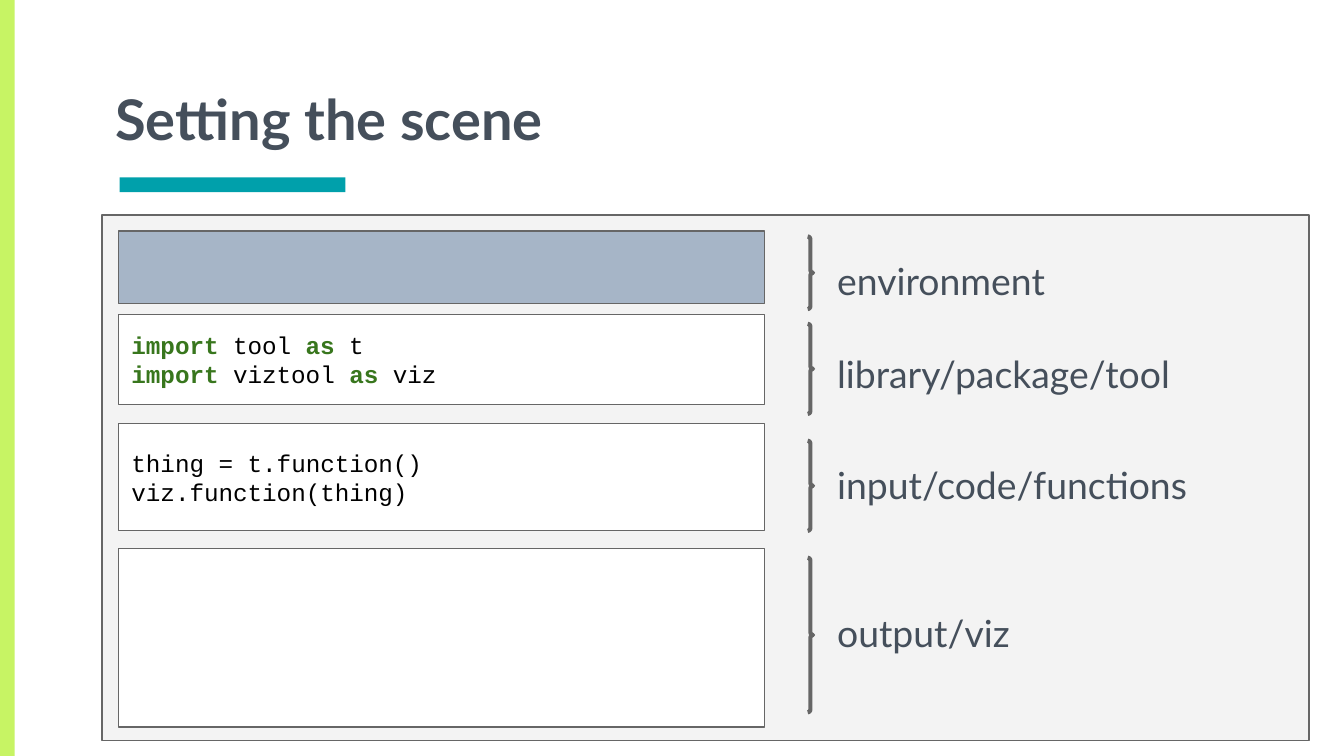
from pptx import Presentation
from pptx.dml.color import RGBColor
from pptx.enum.shapes import MSO_SHAPE
from pptx.enum.text import MSO_ANCHOR, PP_ALIGN
from pptx.util import Inches, Pt

RECT, BRACE = MSO_SHAPE.RECTANGLE, MSO_SHAPE.RIGHT_BRACE
TOP, MIDDLE, BOTTOM = MSO_ANCHOR.TOP, MSO_ANCHOR.MIDDLE, MSO_ANCHOR.BOTTOM
LEFT = PP_ALIGN.LEFT

COLORS = {
    "teal": "00A0AB", "lime": "C7F464", "slate": "454F5B", "panel": "F3F3F3",
    "gray": "666666", "white": "FFFFFF", "blue": "A6B5C7",
    "keyword": "38761D", "black": "000000",
}
CELL = 0.1  # inches per grid column and row


def rgb(name):
    return RGBColor.from_string(COLORS[name])


class Deck:
    """Holds the style and the current slide; lengths are grid cells."""
    head_font, code_font = "Lato", "Courier New"

    def __init__(self, cols, rows):
        self.prs = Presentation()
        self.prs.slide_width = Inches(cols * CELL)
        self.prs.slide_height = Inches(rows * CELL)
        self.s = self.prs.slides.add_slide(self.prs.slide_layouts[6])

    def grid(self, *cells):
        return [Inches(c * CELL) for c in cells]

    def shape(self, kind, box, fill=None, line=None, width=0.75):
        sp = self.s.shapes.add_shape(kind, *self.grid(*box))
        sp.shadow.inherit = False
        if fill:
            sp.fill.solid()
            sp.fill.fore_color.rgb = rgb(fill)
        else:
            sp.fill.background()
        if line:
            sp.line.color.rgb = rgb(line)
            sp.line.width = Pt(width)
        else:
            sp.line.fill.background()
        return sp

    def add_text(self, sp, lines, font, size, anchor):
        tf = sp.text_frame
        tf.word_wrap = True
        tf.vertical_anchor = anchor
        tf.margin_left = tf.margin_right = Inches(0.1)
        tf.margin_top = tf.margin_bottom = Inches(0.1)
        for i, runs in enumerate(lines):
            p = tf.add_paragraph() if i else tf.paragraphs[0]
            p.alignment = LEFT
            for text, color, bold in runs:
                r = p.add_run()
                r.text = text
                r.font.name, r.font.size = font, Pt(size)
                r.font.bold = bold
                r.font.color.rgb = rgb(color)

    def label(self, box, text, size, bold=False, anchor=TOP):
        sp = self.s.shapes.add_textbox(*self.grid(*box))
        self.add_text(sp, [[(text, "slate", bold)]], self.head_font, size, anchor)

    def code_cell(self, box, fill, lines):
        sp = self.shape(RECT, box, fill, "gray")
        if lines:
            self.add_text(sp, lines, self.code_font, 13, MIDDLE)

    def brace(self, box):
        sp = self.shape(BRACE, box, line="gray", width=2.25)
        sp.adjustments[0] = sp.adjustments[1] = 0.5


def key(text):
    return text, "keyword", True


def plain(text):
    return text, "black", False


IMPORTS = [
    [key("import"), plain(" tool "), key("as"), plain(" t")],
    [key("import "), plain("viztool "), key("as"), plain(" viz")],
]
CALLS = [[plain("thing = t.function()")], [plain("viz.function(thing)")]]

# Label, fill, code, then (top, height) of cell and brace, and label top
STEPS = [
    ("environment", "blue", [], (17.2, 5.4), (17.6, 5.4), 18.2),
    ("library/package/tool", "white", IMPORTS, (23.4, 6.7), (24.1, 6.7), 25.1),
    ("input/code/functions", "white", CALLS, (31.5, 8), (32.8, 6.7), 33.4),
    ("output/viz", "white", [], (40.8, 13.3), (41.5, 11.5), 44.4),
]


def main():
    deck = Deck(100, 56.25)

    # Side bar, title and its underline
    deck.shape(RECT, (8.9, 13.2, 16.8, 1.1), "teal")
    deck.shape(RECT, (0, 0, 1.1, 56.25), "lime")
    deck.label((7.6, 1.7, 84.9, 10.6), "Setting the scene", 30, True, BOTTOM)

    # Notebook panel with one cell, brace and label per step
    deck.shape(RECT, (7.6, 16, 89.8, 39.1), "panel", "gray")
    for text, fill, code, (top, height), (b_top, b_height), l_top in STEPS:
        deck.code_cell((8.8, top, 48.1, height), fill, code)
        deck.brace((60.1, b_top, 0.4, b_height))
        deck.label((61.3, l_top, 28.1, 3.9), text, 20)

    deck.prs.save("out.pptx")


if __name__ == "__main__":
    main()
